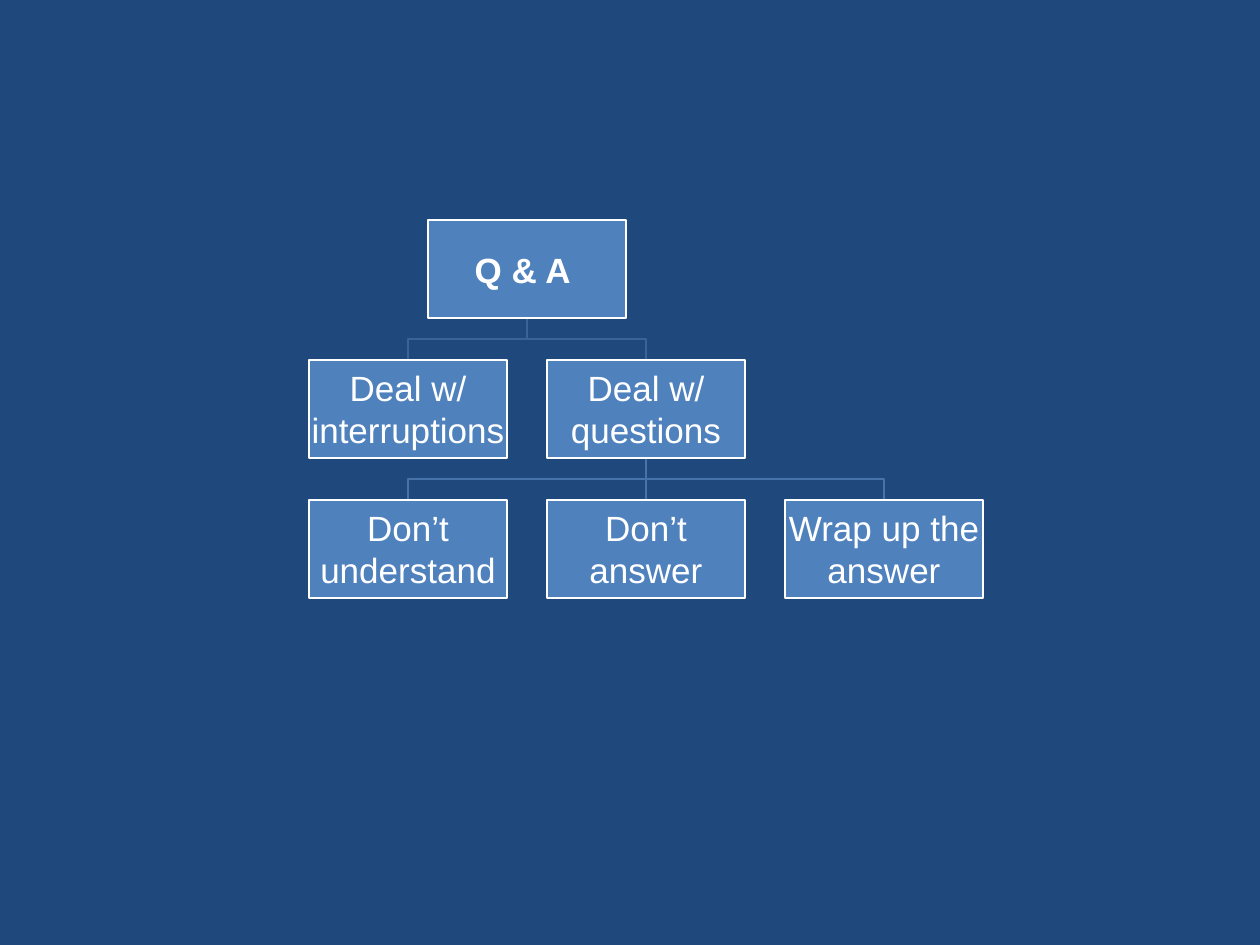
from dataclasses import dataclass

from lxml import etree
from pptx import Presentation
from pptx import util as u
from pptx.dml.color import RGBColor
from pptx.enum import shapes, text
from pptx.oxml.ns import qn
from pptx.slide import Slide

SCALE = 914400 / 126
PAGE_WIDTH, PAGE_HEIGHT = 1260, 945
BOX_WIDTH, BOX_HEIGHT = 198, 98
LEFT, TOP = 309, 220
COLUMN_STEP, ROW_STEP = 238, 140
INSET = 1


@dataclass(frozen=True)
class Theme:
    background: RGBColor = RGBColor.from_string("1F497D")
    box: RGBColor = RGBColor.from_string("4F81BD")
    light: RGBColor = RGBColor.from_string("FFFFFF")
    upper_link: RGBColor = RGBColor.from_string("3B6495")
    lower_link: RGBColor = RGBColor.from_string("4674AA")
    font: str = "Arial"
    size: u.Pt = u.Pt(20)
    line: u.Pt = u.Pt(1.5)


@dataclass(frozen=True)
class Topic:
    label: str
    column: float
    row: int
    bold: bool = False

    @property
    def left(self) -> int:
        return round(LEFT + self.column * COLUMN_STEP)

    @property
    def top(self) -> int:
        return TOP + self.row * ROW_STEP

    @property
    def center(self) -> int:
        return self.left + BOX_WIDTH // 2

    @property
    def bottom(self) -> int:
        return self.top + BOX_HEIGHT


@dataclass(frozen=True)
class Branch:
    parent: Topic
    children: tuple[Topic, ...]
    color: RGBColor


THEME = Theme()
ROOT = Topic("Q & A ", 0.5, 0, bold=True)
INTERRUPTIONS = Topic("Deal w/ interruptions", 0, 1)
QUESTIONS = Topic("Deal w/ questions", 1, 1)
ANSWERS = (
    Topic("Don’t understand", 0, 2),
    Topic("Don’t answer", 1, 2),
    Topic("Wrap up the answer", 2, 2),
)
TOPICS = (ROOT, INTERRUPTIONS, QUESTIONS, *ANSWERS)
BRANCHES = (
    Branch(QUESTIONS, ANSWERS, THEME.lower_link),
    Branch(ROOT, (INTERRUPTIONS, QUESTIONS), THEME.upper_link),
)


def px(length: int) -> u.Emu:
    return u.Emu(round(length * SCALE))


def draw_link(page: Slide, parent: Topic, child: Topic, color: RGBColor) -> None:
    start = (parent.center, parent.bottom)
    end = (child.center, child.top)
    if parent.center == child.center:
        link = page.shapes.add_connector(
            shapes.MSO_CONNECTOR.STRAIGHT, *map(px, start + end)
        )
        etree.SubElement(link._element.spPr, qn("a:effectLst"))
    else:
        middle = (parent.bottom + child.top) // 2
        builder = page.shapes.build_freeform(*start, scale=SCALE)
        builder.add_line_segments(
            [(parent.center, middle), (child.center, middle), end], close=False
        )
        link = builder.convert_to_shape()
        link.shadow.inherit = False
        link.fill.background()
    link.line.color.rgb = color
    link.line.width = THEME.line


def draw_topic(page: Slide, topic: Topic) -> None:
    box = page.shapes.add_shape(
        shapes.MSO_SHAPE.RECTANGLE,
        px(topic.left), px(topic.top), px(BOX_WIDTH), px(BOX_HEIGHT),
    )
    box.shadow.inherit = False
    box.fill.solid()
    box.fill.fore_color.rgb = THEME.box
    box.line.color.rgb = THEME.light
    box.line.width = THEME.line
    frame = box.text_frame
    frame.text = topic.label
    frame.word_wrap = True
    frame.vertical_anchor = text.MSO_ANCHOR.MIDDLE
    frame.margin_left = frame.margin_right = px(INSET)
    frame.margin_top = frame.margin_bottom = px(INSET)
    para = frame.paragraphs[0]
    para.alignment = text.PP_ALIGN.CENTER
    for span in para.runs:
        span.font.name = THEME.font
        span.font.size = THEME.size
        span.font.bold = topic.bold
        span.font.color.rgb = THEME.light


def main() -> None:
    deck = Presentation()
    deck.slide_width, deck.slide_height = px(PAGE_WIDTH), px(PAGE_HEIGHT)
    page = deck.slides.add_slide(deck.slide_layouts[6])
    page.background.fill.solid()
    page.background.fill.fore_color.rgb = THEME.background
    for branch in BRANCHES:
        for child in branch.children:
            draw_link(page, branch.parent, child, branch.color)
    for topic in TOPICS:
        draw_topic(page, topic)
    deck.save("out.pptx")


if __name__ == "__main__":
    main()
